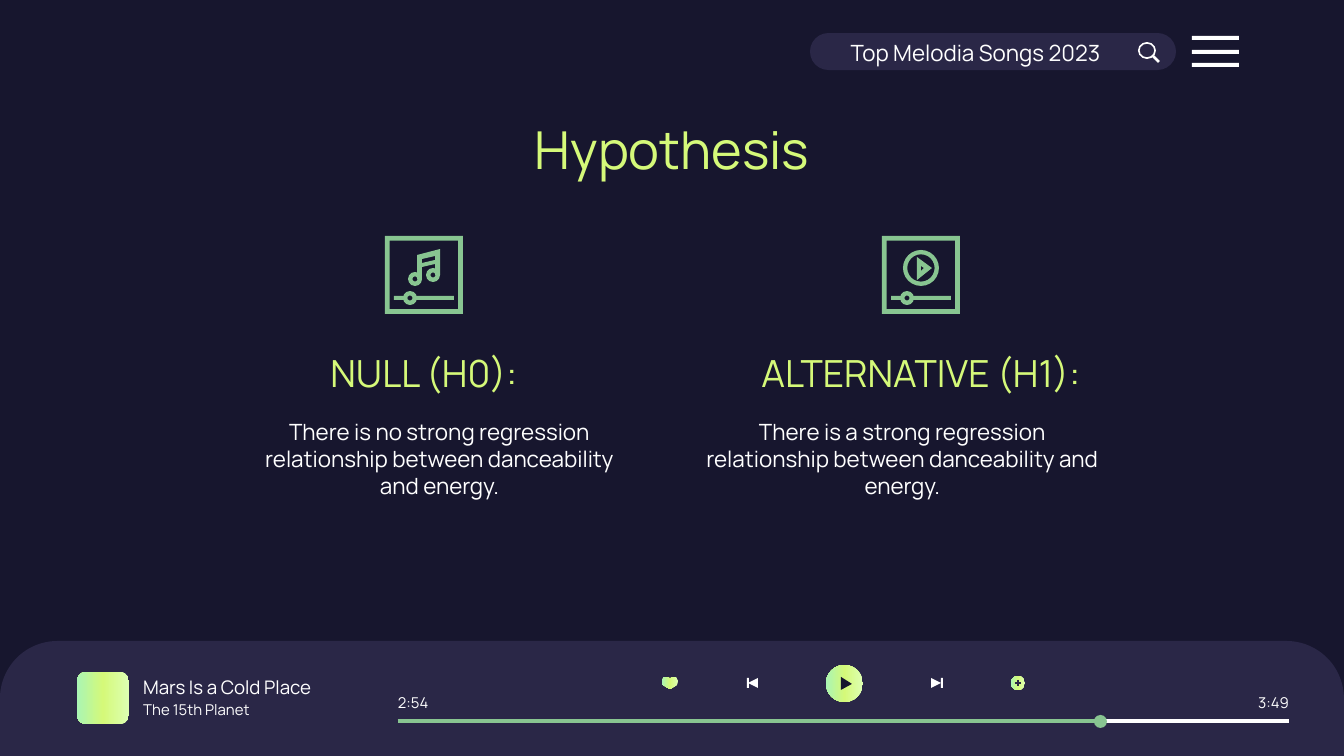
import copy
from dataclasses import dataclass

import pptx
import pptx.dml.color
import pptx.enum.shapes
import pptx.enum.text
import pptx.oxml.ns
import pptx.util

PX = 914400 / 134.4
FONT = "Manrope"
C = {"back": "17162E", "panel": "2A2747", "white": "FFFFFF", "lime": "D5F979", "green": "88C591"}
GRADIENT = [(0, "DDFFB2"), (0.5, "D5F979"), (1, "A9F5B4")]
MSO = pptx.enum.shapes.MSO_SHAPE
ALIGN = pptx.enum.text.PP_ALIGN
ANCHOR = pptx.enum.text.MSO_ANCHOR
INSET = pptx.util.Inches(0.1)


@dataclass
class Box:
    x: int
    y: int
    w: int
    h: int


@dataclass
class Label:
    text: str
    box: Box
    size: int
    color: str = "white"
    align: ALIGN = ALIGN.CENTER
    anchor: ANCHOR = ANCHOR.MIDDLE
    left: int = INSET
    right: int = INSET
    spacing: float = 1.0


def emu(px: int) -> int:
    return round(px * PX)


def rgb(name: str):
    return pptx.dml.color.RGBColor.from_string(C.get(name, name))


def set_all(obj, values: dict) -> None:
    for key, value in values.items():
        setattr(obj, key, value)


def paint(sp, color: str) -> None:
    """Fill a shape with a named colour, or with the lime gradient, and no line."""
    sp.shadow.inherit = False
    sp.line.fill.background()
    if color != "gradient":
        sp.fill.solid()
        sp.fill.fore_color.rgb = rgb(color)
        return
    sp.fill.gradient()
    sp.fill.gradient_angle = 180
    stops = next(sp._element.spPr.iter(pptx.oxml.ns.qn("a:gsLst")))
    stops.insert(1, copy.deepcopy(stops[0]))
    for stop, (position, value) in zip(sp.fill.gradient_stops, GRADIENT):
        stop.position = position
        stop.color.rgb = rgb(value)


def shape(s, kind: MSO, box: Box, color: str, *adjustments: float):
    sp = s.shapes.add_shape(kind, *map(emu, (box.x, box.y, box.w, box.h)))
    for i, value in enumerate(adjustments):
        sp.adjustments[i] = value
    paint(sp, color)
    return sp


def outline(s, color: str, *contours: list, dx: int = 0) -> None:
    """Draw closed contours as one shape; inner contours become holes."""
    (x, y), *_ = contours[0]
    builder = s.shapes.build_freeform(x + dx, y, scale=PX)
    for i, points in enumerate(contours):
        moved = [(px + dx, py) for px, py in points]
        if i:
            builder.move_to(*moved[0])
        builder.add_line_segments(moved[1:], close=True)
    paint(builder.convert_to_shape(), color)


def line(s, x1: int, y1: int, x2: int, y2: int, color: str, width: float) -> None:
    straight = pptx.enum.shapes.MSO_CONNECTOR.STRAIGHT
    cn = s.shapes.add_connector(straight, *map(emu, (x1, y1, x2, y2)))
    cn.line.color.rgb = rgb(color)
    cn.line.width = pptx.util.Pt(width)
    cn._element.spPr.append(pptx.oxml.parse_xml(f"<a:effectLst {pptx.oxml.ns.nsdecls('a')}/>"))


def write(s, label: Label, sp=None) -> None:
    """Put a label in the given placeholder, or in a new text box."""
    b = label.box
    sp = sp or s.shapes.add_textbox(0, 0, 1, 1)
    set_all(sp, dict(left=emu(b.x), top=emu(b.y), width=emu(b.w), height=emu(b.h)))
    tf = sp.text_frame
    set_all(tf, dict(word_wrap=True, auto_size=pptx.enum.text.MSO_AUTO_SIZE.NONE,
                     vertical_anchor=label.anchor, margin_left=label.left,
                     margin_right=label.right, margin_top=INSET, margin_bottom=INSET))
    p = tf.paragraphs[0]
    set_all(p, dict(alignment=label.align, line_spacing=label.spacing))
    r = p.add_run()
    r.text = label.text
    set_all(r.font, dict(name=FONT, size=pptx.util.Pt(label.size)))
    r.font.color.rgb = rgb(label.color)


def icon_base(s, x: int) -> None:
    """Square frame with a slider along its bottom."""
    shape(s, MSO.FRAME, Box(x, 236, 78, 78), "green", 0.06)
    shape(s, MSO.RECTANGLE, Box(x + 9, 296, 10, 4), "green")
    shape(s, MSO.RECTANGLE, Box(x + 31, 296, 38, 4), "green")
    shape(s, MSO.DONUT, Box(x + 18, 291, 14, 14), "green", 0.32)


def note_icon(s, x: int) -> None:
    icon_base(s, x)
    for dx, y in ((23, 272), (41, 268)):
        shape(s, MSO.DONUT, Box(x + dx, y, 14, 14), "green", 0.32)
    outline(s, "green",
            [(32, 279), (32, 255), (55, 249), (55, 275), (50, 275), (50, 264), (37, 267), (37, 279)],
            [(37, 259), (50, 256), (50, 260), (37, 263)], dx=x)


def play_icon(s, x: int) -> None:
    icon_base(s, x)
    shape(s, MSO.DONUT, Box(x + 21, 250, 36, 36), "green", 0.12)
    outline(s, "green", [(35, 257), (35, 280), (50, 268)], [(39, 266), (39, 271), (42, 268)], dx=x)


def header(s) -> None:
    shape(s, MSO.ROUNDED_RECTANGLE, Box(810, 33, 366, 37), "panel", 0.5)
    for row in range(3):
        shape(s, MSO.RECTANGLE, Box(1192, 36 + round(13.5 * row), 47, 4), "white")
    shape(s, MSO.DONUT, Box(1138, 42, 18, 17), "white", 0.1)
    line(s, 1153, 56, 1159, 62, "white", 1.5)


def player(s) -> None:
    shape(s, MSO.ROUND_2_SAME_RECTANGLE, Box(0, 641, 1344, 115), "panel", 0.5, 0)
    shape(s, MSO.ROUNDED_RECTANGLE, Box(77, 672, 52, 52), "gradient", 0.17)
    outline(s, "gradient", [(662, 681), (664, 677), (668, 677), (670, 679), (672, 677), (676, 677),
                            (678, 681), (677, 685), (670, 689), (663, 685)])
    shape(s, MSO.OVAL, Box(1011, 676, 14, 14), "gradient")
    line(s, 1018, 680, 1018, 686, "panel", 0.75)
    line(s, 1015, 683, 1021, 683, "panel", 0.75)
    shape(s, MSO.OVAL, Box(826, 665, 37, 37), "gradient")
    outline(s, "back", [(841, 677), (841, 690), (852, 684)])
    for bar, base, tip in ((747, 758, 748), (941, 931, 941)):
        shape(s, MSO.RECTANGLE, Box(bar, 678, 2, 10), "white")
        outline(s, "white", [(base, 678), (tip, 683), (base, 688)])
    line(s, 398, 721, 1289, 721, "white", 2.25)
    shape(s, MSO.OVAL, Box(1094, 715, 13, 13), "green")
    line(s, 398, 721, 1100, 721, "green", 2.25)


TITLE = Label("Hypothesis", Box(457, 107, 430, 84), 28, "lime")
LABELS = [
    Label("Top Melodia Songs 2023", Box(762, 26, 360, 50), 12,
          left=pptx.util.Inches(0.6), spacing=1.15),
    Label("NULL (H0):", Box(232, 334, 384, 78), 20, "lime"),
    Label("ALTERNATIVE (H1):", Box(729, 334, 384, 78), 20, "lime"),
    Label("There is no strong regression relationship between danceability and energy.",
          Box(232, 405, 415, 149), 12, anchor=ANCHOR.TOP),
    Label("There is a strong regression relationship between danceability and energy.",
          Box(692, 405, 421, 149), 12, anchor=ANCHOR.TOP),
    Label("Mars Is a Cold Place", Box(130, 676, 257, 23), 10, align=ALIGN.LEFT),
    Label("The 15th Planet", Box(130, 698, 155, 23), 8, align=ALIGN.LEFT),
    Label("2:54", Box(398, 691, 36, 23), 8, align=ALIGN.LEFT, left=0, right=0),
    Label("3:49", Box(1253, 691, 36, 23), 8, align=ALIGN.RIGHT, left=0, right=0),
]


def main() -> None:
    prs = pptx.Presentation()
    set_all(prs, dict(slide_width=emu(1344), slide_height=emu(756)))
    s = prs.slides.add_slide(prs.slide_layouts[5])
    s.background.fill.solid()
    s.background.fill.fore_color.rgb = rgb("back")
    header(s)
    player(s)
    note_icon(s, 385)
    play_icon(s, 882)
    write(s, TITLE, s.shapes.title)
    for label in LABELS:
        write(s, label)
    prs.save("out.pptx")


if __name__ == "__main__":
    main()
